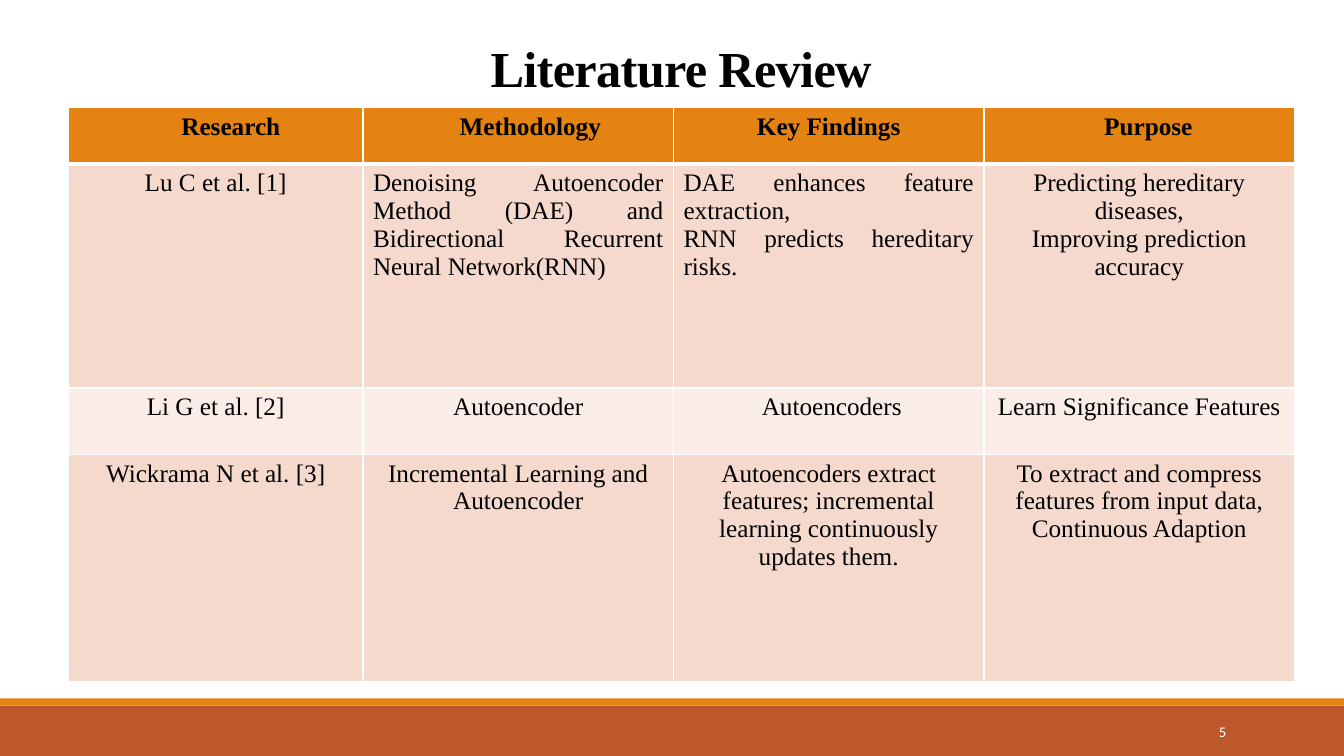
"""Build the Literature Review slide: a title, a comparison table and a footer band."""
from lxml import etree
from pptx import Presentation
from pptx.dml.color import RGBColor
from pptx.enum.shapes import MSO_SHAPE
from pptx.enum.text import MSO_ANCHOR, PP_ALIGN
from pptx.oxml.ns import qn
from pptx.util import Inches, Pt

CENTER, JUSTIFY, RIGHT = PP_ALIGN.CENTER, PP_ALIGN.JUSTIFY, PP_ALIGN.RIGHT
TOP, MIDDLE, BOTTOM = MSO_ANCHOR.TOP, MSO_ANCHOR.MIDDLE, MSO_ANCHOR.BOTTOM
RECTANGLE = MSO_SHAPE.RECTANGLE
COLORS = {
    "black": "000000", "white": "FFFFFF", "orange": "E48312",
    "rust": "BD582C", "peach": "F5D9CC", "blush": "FAEDE7",
}


def write(frame, text, size=18, font="Times New Roman", color="black", bold=False,
          align=CENTER, anchor=TOP, line_spacing=1.0, tracking=0):
    """Fill a text frame, one paragraph per line of text."""
    frame.word_wrap = True
    frame.vertical_anchor = anchor
    for index, line in enumerate(text.split("\n")):
        paragraph = frame.paragraphs[0] if index == 0 else frame.add_paragraph()
        paragraph.alignment = align
        paragraph.line_spacing = line_spacing
        run = paragraph.add_run()
        run.text = line
        run.font.size = Pt(size)
        run.font.name = font
        run.font.bold = bold
        run.font.color.rgb = RGBColor.from_string(COLORS[color])
        if tracking:
            run.font._element.set("spc", str(int(tracking * 100)))


def add_border(cell, side, width):
    """Draw one white edge of a table cell."""
    properties = cell._tc.get_or_add_tcPr()
    edge = etree.SubElement(properties, qn(f"a:{side}"), w=str(Pt(width)))
    fill = etree.SubElement(edge, qn("a:solidFill"))
    etree.SubElement(fill, qn("a:srgbClr"), val=COLORS["white"])


presentation = Presentation()
presentation.slide_width = Inches(13.33)
presentation.slide_height = Inches(7.5)
slide = presentation.slides.add_slide(presentation.slide_layouts[6])

for top, height, color in [(7, 0.5, "rust"), (6.93, 0.07, "orange")]:
    band = slide.shapes.add_shape(RECTANGLE, 0, Inches(top), Inches(13.33), Inches(height))
    band.shadow.inherit = False
    band.fill.solid()
    band.fill.fore_color.rgb = RGBColor.from_string(COLORS[color])
    band.line.fill.background()

title = slide.shapes.add_textbox(Inches(1.29), Inches(0.04), Inches(10.93), Inches(0.98))
write(title.text_frame, "Literature Review", size=36, bold=True, anchor=BOTTOM,
      line_spacing=0.85, tracking=-0.5)

page_number = slide.shapes.add_textbox(Inches(10.83), Inches(7.06), Inches(1.43), Inches(0.4))
write(page_number.text_frame, "5", size=10.5, font="Calibri", color="white",
      align=RIGHT, anchor=MIDDLE)

studies = [
    ["Research", "Methodology", "Key Findings", "Purpose"],
    ["Lu C et al. [1]",
     "Denoising Autoencoder Method (DAE) and Bidirectional Recurrent Neural Network(RNN)",
     "DAE enhances feature extraction,\nRNN predicts hereditary risks.",
     "Predicting hereditary diseases,\nImproving prediction accuracy"],
    ["Li G et al. [2]", "Autoencoder", "Autoencoders", "Learn Significance Features"],
    ["Wickrama N et al. [3]",
     "Incremental Learning and Autoencoder",
     "Autoencoders extract features; incremental learning continuously updates them.",
     "To extract and compress features from input data,\nContinuous Adaption"],
]
column_widths = [2.92, 3.08, 3.08, 3.08]
row_heights = [0.56, 2.22, 0.66, 2.25]
row_fills = ["orange", "peach", "blush", "peach"]
justified = {(1, 1), (1, 2)}
indents = {(0, 0): 0.3, (0, 1): 0.24, (0, 3): 0.18, (2, 2): 0.06}

review = slide.shapes.add_table(
    len(studies), len(column_widths), Inches(0.68), Inches(1.07),
    Inches(sum(column_widths)), Inches(sum(row_heights))).table
for column, width in zip(review.columns, column_widths):
    column.width = Inches(width)
for row, height in zip(review.rows, row_heights):
    row.height = Inches(height)

for r, study in enumerate(studies):
    for c, text in enumerate(study):
        cell = review.cell(r, c)
        cell.margin_left = Inches(0.1 + indents.get((r, c), 0))
        write(cell.text_frame, text, bold=r == 0,
              align=JUSTIFY if (r, c) in justified else CENTER)
        for side in ("lnL", "lnR", "lnT", "lnB"):
            under_header = (r, side) in {(0, "lnB"), (1, "lnT")}
            add_border(cell, side, 3 if under_header else 1)
        cell.fill.solid()
        cell.fill.fore_color.rgb = RGBColor.from_string(COLORS[row_fills[r]])

presentation.save("out.pptx")
